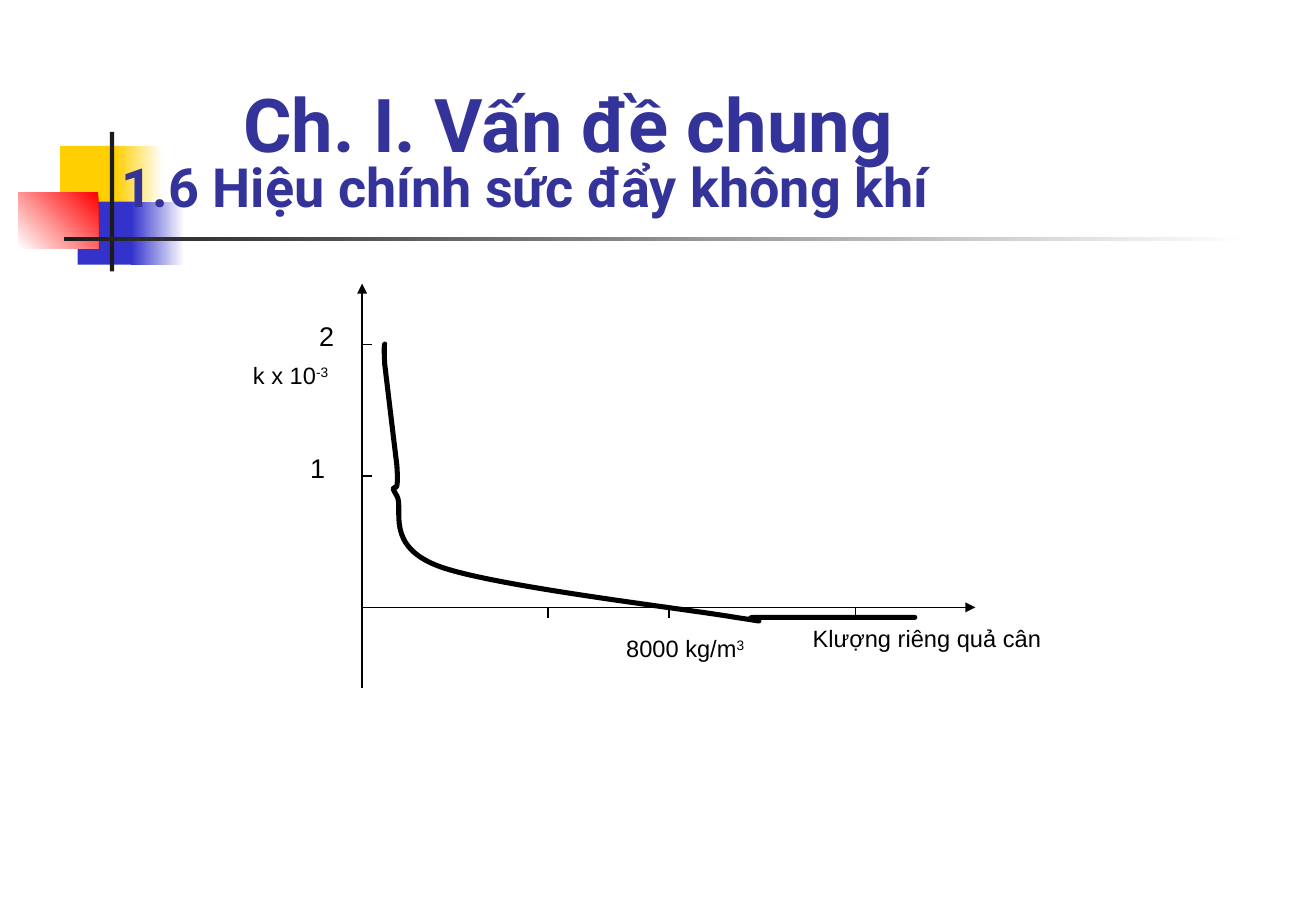
from lxml.etree import SubElement
from pptx import Presentation
from pptx.dml.color import RGBColor
from pptx.enum.shapes import MSO_CONNECTOR, MSO_SHAPE
from pptx.enum.text import MSO_ANCHOR, PP_ALIGN
from pptx.oxml.ns import qn
from pptx.util import Inches, Pt

WHITE = RGBColor(0xFF, 0xFF, 0xFF)
BLACK = RGBColor(0x00, 0x00, 0x00)
YELLOW = RGBColor(0xFF, 0xCF, 0x01)
BLUE = RGBColor(0x33, 0x33, 0xCC)
RED = RGBColor(0xFF, 0x00, 0x00)
CHARCOAL = RGBColor(0x1C, 0x1C, 0x1C)
INDIGO = RGBColor(0x33, 0x33, 0x99)

# The page is a grid of 108.4 columns by 75 rows, all places are in grid cells.
CELL = Inches(0.1)
COLUMNS, ROWS = 108.4, 75

# left, top, width, height, colour, angle of the fade to white (None: solid)
ORNAMENT = [
    (4.95, 12, 5.2, 5.2, YELLOW, None),
    (9.5, 12, 3.9, 5.2, YELLOW, 0),
    (6.4, 16.6, 5, 5.2, BLUE, None),
    (10.8, 16.6, 4.4, 5.2, BLUE, 0),
    (1.5, 15.85, 6.6, 4.6, RED, 225),
    (9.05, 10.85, 0.35, 11.5, CHARCOAL, None),
    (5.25, 19.52, 97.5, 0.34, CHARCOAL, 0),
]

TITLE_BOX = (9.05, 6.65, 84.9, 11.8)
# text, size, bold
TITLE_LINES = [
    [("\t", 44, False), ("Ch. I. Vấn đề chung", 44, True)],
    [("1.6 Hiệu chính sức đẩy không khí", 32, True)],
]
TAB_STOPS, TAB_GAP = 8, 10

ORIGIN_X, ORIGIN_Y = 29.83, 50
AXIS_RIGHT, AXIS_TOP, AXIS_BOTTOM = 80.35, 23.35, 56.67
DENSITY_TICKS = [45.15, 55.1, 70.45]
FACTOR_TICKS = [39.2, 28.35]
TICK = 0.85

# Start of the curve, then two control points and an end for each piece
CURVE_START = (31.7, 28.33)
CURVE_PIECES = [
    ((31.7, 28.33), (31.6, 28.3), (31.7, 30)),
    ((31.9, 31.7), (32.5, 36.7), (32.7, 38.33)),
    ((32.8, 40), (32.7, 39.6), (32.7, 40)),
    ((32.7, 40.4), (32, 39.7), (32.7, 40.83)),
    ((33.3, 41.9), (31.6, 45), (36.3, 46.67)),
    ((40.9, 48.3), (56.3, 50.1), (60.6, 50.83)),
    ((65, 51.5), (60.2, 50.83), (62.4, 50.83)),
    ((64.7, 50.83), (72.1, 50.83), (74.2, 50.83)),
    ((76.3, 50.83), (74.9, 50.83), (75.1, 50.83)),
]

# box, text, superscript, size, wrap
LABELS = [
    ((50.6, 51.7, 14.4, 3.4), "8000 kg/m", "3", 14, True),
    ((65.95, 50.85, 24.4, 3.4), "Klượng riêng quả cân", "", 14, True),
    ((19.85, 29.2, 11.7, 3.4), "k x 10", "-3", 14, True),
    ((24.55, 36.7, 3.2, 3.7), "1", "", 16, False),
    ((25.3, 25.8, 3.6, 3.7), "2", "", 16, True),
]


def cells(*values):
    return [round(value * CELL) for value in values]


def add_block(page, box, colour, fade_angle):
    block = page.shapes.add_shape(MSO_SHAPE.RECTANGLE, *cells(*box))
    block.shadow.inherit = False
    block.line.fill.background()
    if fade_angle is None:
        block.fill.solid()
        block.fill.fore_color.rgb = colour
        return
    block.fill.gradient()
    block.fill.gradient_angle = fade_angle
    for stop, shade, position in zip(block.fill.gradient_stops, (colour, WHITE), (0, 1)):
        stop.color.rgb = shade
        stop.position = position


def add_line(page, start, end, arrow=False):
    line = page.shapes.add_connector(MSO_CONNECTOR.STRAIGHT, *cells(*start, *end))
    line.line.color.rgb = BLACK
    line.line.width = Pt(0.75)
    if arrow:
        SubElement(line.line._get_or_add_ln(), qn("a:tailEnd"), type="triangle")
    SubElement(line._element.spPr, qn("a:effectLst"))


def bend_segments(outline):
    """Turn every three straight segments of a freeform into one Bezier piece."""
    segments = list(outline._element.iter(qn("a:lnTo")))
    track = segments[0].getparent()
    for first in range(0, len(segments), 3):
        piece = SubElement(track, qn("a:cubicBezTo"))
        for segment in segments[first:first + 3]:
            piece.append(segment[0])
            track.remove(segment)


def add_curve(page):
    builder = page.shapes.build_freeform(*cells(*CURVE_START))
    points = [cells(*point) for piece in CURVE_PIECES for point in piece]
    builder.add_line_segments(points, close=False)
    curve = builder.convert_to_shape()
    bend_segments(curve)
    curve.shadow.inherit = False
    curve.fill.background()
    curve.line.color.rgb = BLACK
    curve.line.width = Pt(3)
    stroke = curve.line._get_or_add_ln()
    stroke.set("cap", "rnd")
    SubElement(stroke, qn("a:round"))


def add_text_box(page, box, wrap=True):
    frame = page.shapes.add_textbox(*cells(*box)).text_frame
    frame.word_wrap = wrap
    para = frame.paragraphs[0]
    para.alignment = PP_ALIGN.LEFT
    return frame, para


def add_span(para, text, size, font, colour):
    span = para.add_run()
    span.text = text
    span.font.size = Pt(size)
    span.font.name = font
    span.font.color.rgb = colour
    return span


def add_title(page):
    frame, para = add_text_box(page, TITLE_BOX)
    frame.vertical_anchor = MSO_ANCHOR.BOTTOM
    para.line_spacing = 0.8
    tabs = SubElement(para._p.get_or_add_pPr(), qn("a:tabLst"))
    for number in range(TAB_STOPS):
        SubElement(tabs, qn("a:tab"), pos=str(number * TAB_GAP * CELL), algn="l")
    for number, spans in enumerate(TITLE_LINES):
        if number:
            para.add_line_break()
        for text, size, bold in spans:
            add_span(para, text, size, "Roboto", INDIGO).font.bold = bold


def add_label(page, box, text, superscript, size, wrap):
    para = add_text_box(page, box, wrap)[1]
    add_span(para, text, size, "Arial", BLACK)
    if superscript:
        raised = add_span(para, superscript, size, "Arial", BLACK)
        raised.font._element.set("baseline", "30000")


def main():
    deck = Presentation()
    deck.slide_width, deck.slide_height = cells(COLUMNS, ROWS)
    page = deck.slides.add_slide(deck.slide_layouts[6])

    for *box, colour, fade_angle in ORNAMENT:
        add_block(page, box, colour, fade_angle)
    add_title(page)

    add_line(page, (ORIGIN_X, ORIGIN_Y), (AXIS_RIGHT, ORIGIN_Y), arrow=True)
    add_line(page, (ORIGIN_X, AXIS_BOTTOM), (ORIGIN_X, AXIS_TOP), arrow=True)
    for x in DENSITY_TICKS:
        add_line(page, (x, ORIGIN_Y), (x, ORIGIN_Y + TICK))
    for y in FACTOR_TICKS:
        add_line(page, (ORIGIN_X, y), (ORIGIN_X + TICK, y))
    add_curve(page)
    for label in LABELS:
        add_label(page, *label)

    deck.save("out.pptx")


if __name__ == "__main__":
    main()
